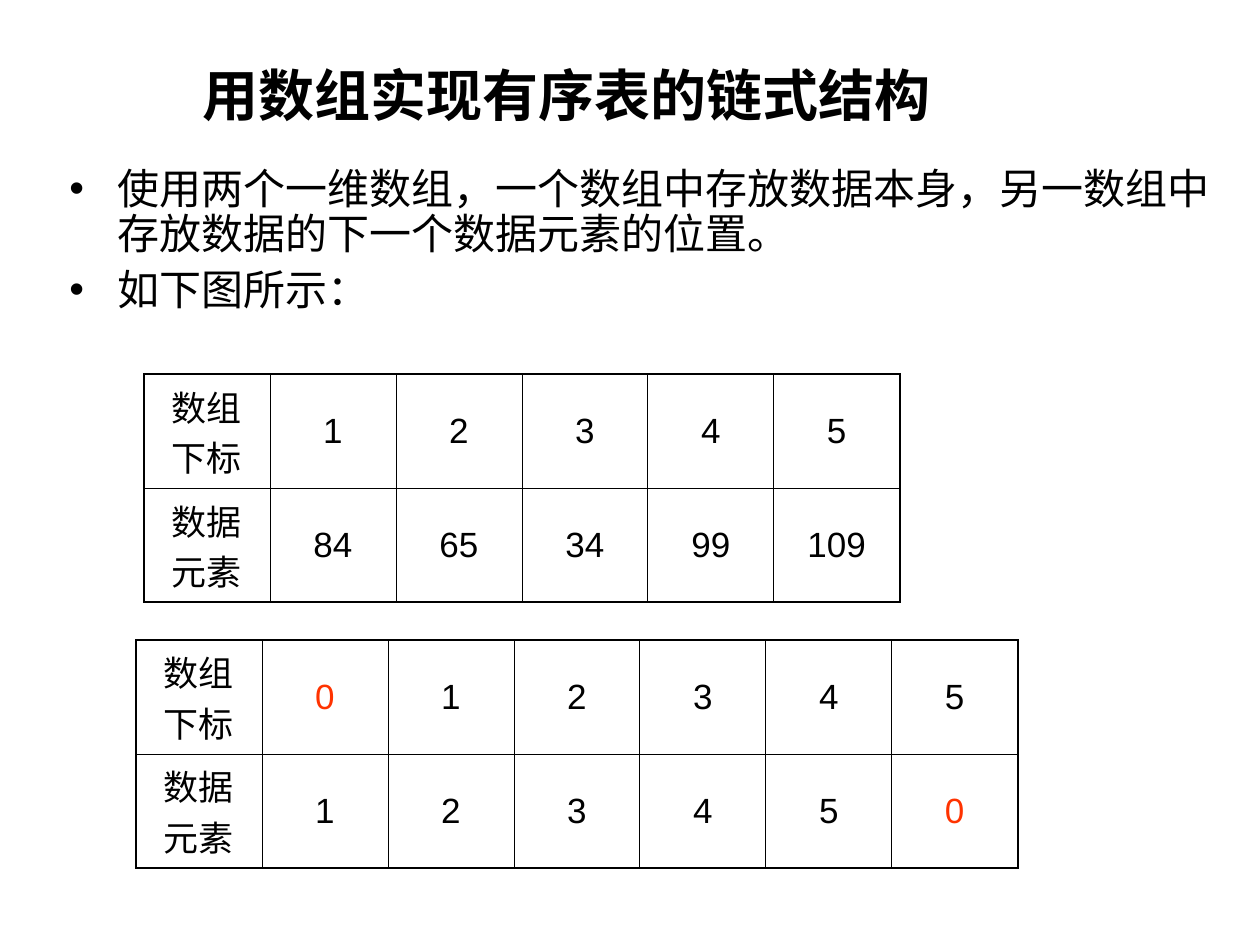
"""Build the slide on a linked ordered list stored in arrays."""
from lxml.etree import SubElement
from pptx import Presentation
from pptx.dml.color import RGBColor
from pptx.enum.text import MSO_ANCHOR, PP_ALIGN
from pptx.oxml.ns import qn
from pptx.util import Emu, Pt

PX = 914400 // 126
BLACK = RGBColor(0x00, 0x00, 0x00)
RED = RGBColor(0xFF, 0x33, 0x00)
SANS_SC, SANS_JP = "Noto Sans CJK SC", "Noto Sans CJK JP"

TITLE = "用数组实现有序表的链式结构"
POINTS = [
    "使用两个一维数组，一个数组中存放数据本身，另一数组中存放数据的下一个数据元素的位置。",
    "如下图所示：",
]
ARRAYS = [
    {"left": 144, "top": 374, "rows": [
        ["数组下标", "1", "2", "3", "4", "5"],
        ["数据元素", "84", "65", "34", "99", "109"]]},
    {"left": 136, "top": 640, "rows": [
        ["数组下标", "0", "1", "2", "3", "4", "5"],
        ["数据元素", "1", "2", "3", "4", "5", "0"]]},
]
COLUMN_WIDTH, ROW_HEIGHT = 126, 114
INNER_LINE, OUTER_LINE = Pt(0.45), Pt(1.08)

TITLE_FONT = {"name": SANS_SC, "size": Pt(32), "bold": True}
POINT_FONT = {"name": SANS_JP, "size": Pt(24), "bold": False}
CELL_FONT = {"name": "Arial", "size": Pt(20), "bold": False}
CENTERED = {"alignment": PP_ALIGN.CENTER}
POINT_FORMAT = {"alignment": PP_ALIGN.LEFT, "line_spacing": 0.9}
CELL_FORMAT = {"vertical_anchor": MSO_ANCHOR.MIDDLE,
               "margin_left": Emu(91440), "margin_right": Emu(91440),
               "margin_top": Emu(45720), "margin_bottom": Emu(45720)}


def px(*lengths):
    return [Emu(length * PX) for length in lengths]


def apply(target, values):
    for name, value in values.items():
        setattr(target, name, value)


def write(paragraph, text, layout, font, east_asian, color=BLACK):
    apply(paragraph, layout)
    run = paragraph.add_run()
    run.text = text
    apply(run.font, font)
    run.font.color.rgb = color
    SubElement(run._r.get_or_add_rPr(), qn("a:ea"), typeface=east_asian)


def add_bullet(paragraph):
    properties = paragraph._p.get_or_add_pPr()
    indent = 48 * PX
    properties.set("marL", str(indent))
    properties.set("indent", str(-indent))
    bullet_color = SubElement(properties, qn("a:buClr"))
    SubElement(bullet_color, qn("a:srgbClr"), val=str(BLACK))
    SubElement(properties, qn("a:buFont"), typeface="Arial")
    SubElement(properties, qn("a:buChar"), char="•")


def add_text_frame(slide, box, anchor):
    frame = slide.shapes.add_textbox(*px(*box)).text_frame
    apply(frame, {"word_wrap": True, "vertical_anchor": anchor})
    return frame


def draw_borders(cell, outer_sides):
    properties = cell._tc.get_or_add_tcPr()
    for side, is_outer in outer_sides.items():
        width = OUTER_LINE if is_outer else INNER_LINE
        border = SubElement(properties, qn(f"a:ln{side}"), w=str(width))
        fill = SubElement(border, qn("a:solidFill"))
        SubElement(fill, qn("a:srgbClr"), val=str(BLACK))


def add_array(slide, array):
    rows = array["rows"]
    last_row, last_column = len(rows) - 1, len(rows[0]) - 1
    box = px(array["left"], array["top"],
             COLUMN_WIDTH * len(rows[0]), ROW_HEIGHT * len(rows))
    grid = slide.shapes.add_table(len(rows), len(rows[0]), *box).table
    apply(grid, {"first_row": False, "horz_banding": False})
    for r, row in enumerate(rows):
        for c, value in enumerate(row):
            cell = grid.cell(r, c)
            apply(cell, CELL_FORMAT)
            draw_borders(cell, {"L": c == 0, "R": c == last_column,
                                "T": r == 0, "B": r == last_row})
            cell.fill.background()
            write(cell.text_frame.paragraphs[0], value, CENTERED, CELL_FONT,
                  SANS_SC, RED if value == "0" else BLACK)


def main():
    deck = Presentation()
    deck.slide_width, deck.slide_height = px(1260, 945)
    slide = deck.slides.add_slide(deck.slide_layouts[6])

    points = add_text_frame(slide, (57, 163, 1182, 168), MSO_ANCHOR.TOP)
    points.margin_top = px(5)[0]
    for index, text in enumerate(POINTS):
        paragraph = points.add_paragraph() if index else points.paragraphs[0]
        add_bullet(paragraph)
        if index:
            paragraph.space_before = Pt(6)
        write(paragraph, text, POINT_FORMAT, POINT_FONT, SANS_JP)

    for array in ARRAYS:
        add_array(slide, array)

    title = add_text_frame(slide, (0, 42, 1134, 105), MSO_ANCHOR.MIDDLE)
    write(title.paragraphs[0], TITLE, CENTERED, TITLE_FONT, SANS_SC)

    deck.save("out.pptx")


if __name__ == "__main__":
    main()
